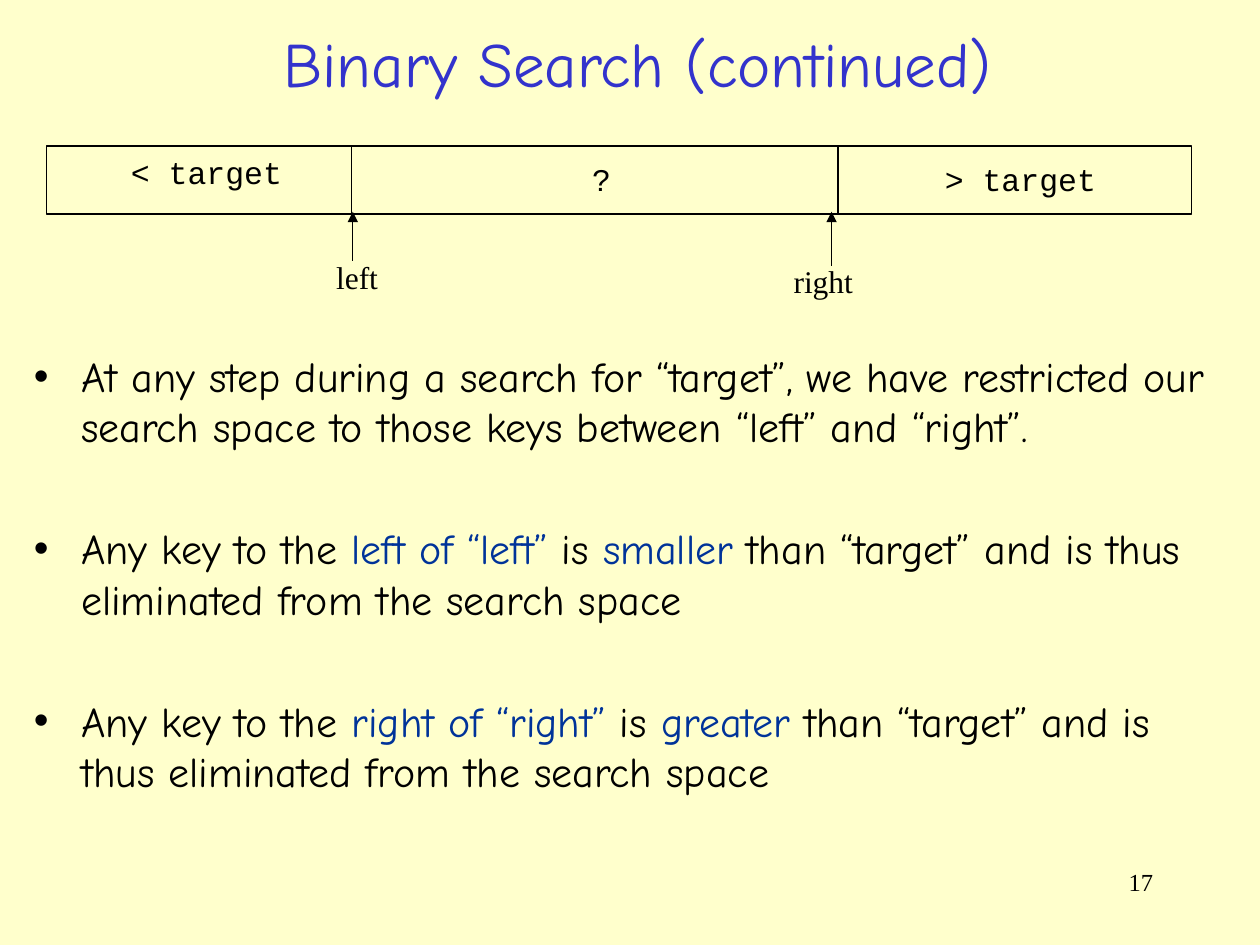
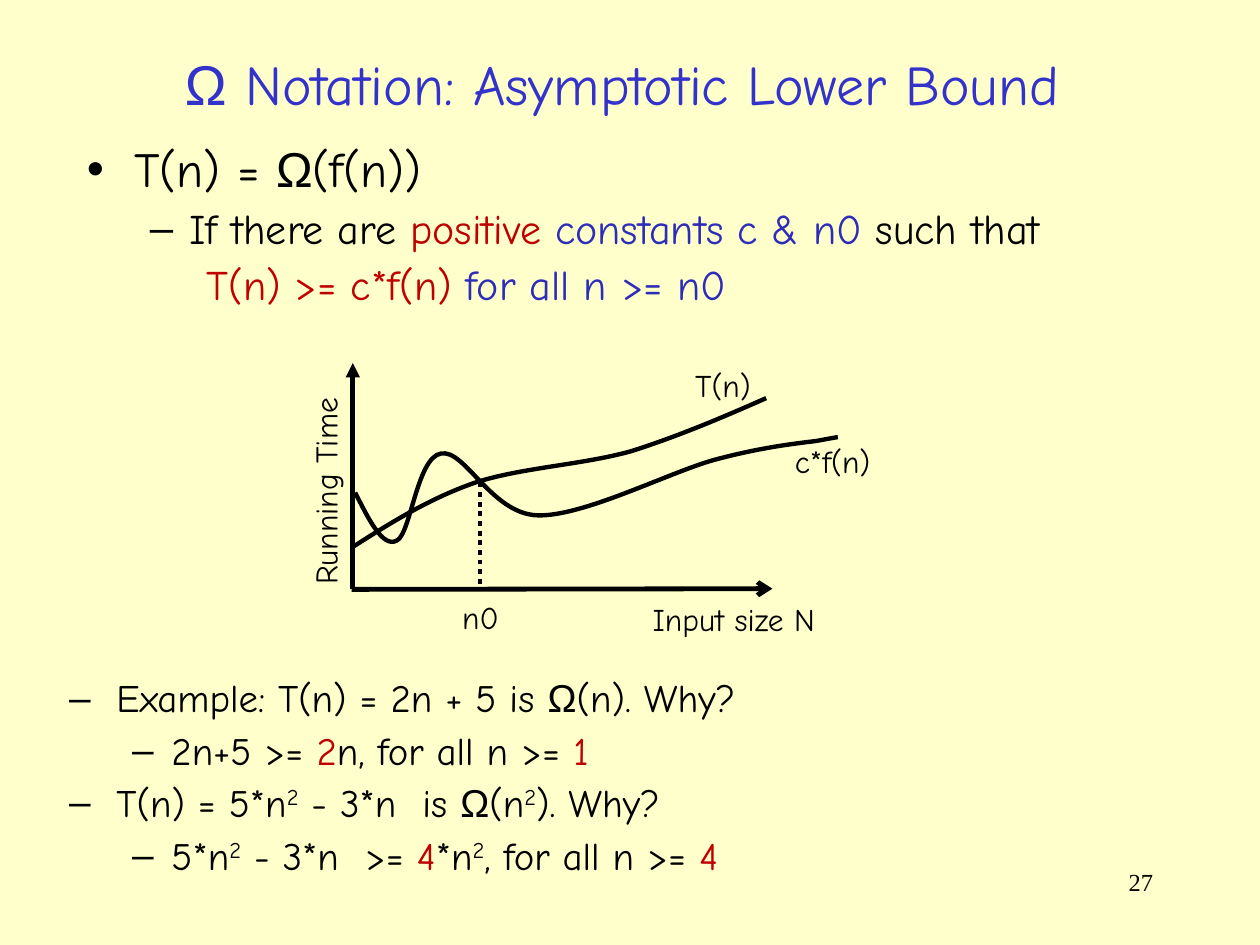
"""Build two lecture slides on binary search and asymptotic lower bounds."""
from dataclasses import dataclass

from lxml.etree import SubElement
from pptx import Presentation
from pptx.dml.color import RGBColor
from pptx.enum.dml import MSO_LINE
from pptx.enum.shapes import MSO_CONNECTOR, MSO_SHAPE
from pptx.enum.text import MSO_ANCHOR, MSO_AUTO_SIZE, PP_ALIGN
from pptx.oxml.ns import qn
from pptx.util import Pt


@dataclass(frozen=True)
class Theme:
    background: str = "FFFFCC"
    ink: str = "000000"
    title: str = "3333CC"
    navy: str = "003399"
    blue: str = "2D2DB9"
    red: str = "C00000"
    main_font: str = "Comic Neue"
    symbol_font: str = "Arial"
    code_font: str = "Courier New"
    serif_font: str = "Times New Roman"
    title_size: float = 36
    long_title_size: float = 32
    lead_size: float = 28
    body_size: float = 24
    example_size: float = 22.2
    label_size: float = 18
    page_size: float = 14
    thin: float = 0.75
    curve: float = 2.5
    axis: float = 2.75


@dataclass(frozen=True)
class ListLevel:
    level: int
    margin: float
    hanging: float
    mark: str


THEME = Theme()
POINT = ListLevel(0, 27, 27, "•")
DASH = ListLevel(0, 27, 27, "–")
SUB_DASH = ListLevel(1, 58.5, 22.5, "–")
CONTINUED = ListLevel(1, 68.4, 0, "")
SUPERSCRIPT = "superscript"
LABEL_HEIGHT = 28.8


def points(*values):
    return [Pt(value) for value in values]


class Deck:
    def __init__(self, theme):
        self.theme = theme
        self.presentation = Presentation()
        self.presentation.slide_width, self.presentation.slide_height = points(720, 540)
        fill = self.presentation.slide_master.background.fill
        fill.solid()
        fill.fore_color.rgb = RGBColor.from_string(theme.background)
        self.slide = None

    def new_slide(self, title, box, size, number):
        layout = self.presentation.slide_layouts[1]
        self.slide = self.presentation.slides.add_slide(layout)
        shape = self.slide.shapes.title
        self.place(shape, box)
        shape.text_frame.vertical_anchor = MSO_ANCHOR.MIDDLE
        paragraph = shape.text_frame.paragraphs[0]
        paragraph.alignment = PP_ALIGN.CENTER
        self.add_runs(paragraph, title, size, color=self.theme.title)
        page = self.slide.shapes.add_textbox(*points(516.2, 491.8, 149.8, 36))
        page.text_frame.word_wrap = True
        paragraph = page.text_frame.paragraphs[0]
        paragraph.alignment = PP_ALIGN.RIGHT
        self.add_runs(paragraph, [number], self.theme.page_size, self.theme.serif_font)

    def place(self, shape, box):
        shape.left, shape.top, shape.width, shape.height = points(*box)
        shape.text_frame.auto_size = MSO_AUTO_SIZE.NONE
        shape.text_frame.word_wrap = True

    def add_runs(self, paragraph, parts, size, font=None, color=None):
        for part in parts:
            text, accent = (part, None) if isinstance(part, str) else part
            run = paragraph.add_run()
            run.text = text
            run.font.size = Pt(size)
            run.font.name = self.theme.symbol_font if text == "Ω" else font or self.theme.main_font
            shade = color or self.theme.ink
            if accent == SUPERSCRIPT:
                run._r.get_or_add_rPr().set("baseline", "30000")
            elif accent:
                shade = accent
            run.font.color.rgb = RGBColor.from_string(shade)

    def set_level(self, paragraph, style):
        paragraph.level = style.level
        properties = paragraph._p.get_or_add_pPr()
        properties.set("marL", str(Pt(style.margin)))
        properties.set("indent", str(-Pt(style.hanging)))
        if style.mark:
            SubElement(properties, qn("a:buFont")).set("typeface", self.theme.symbol_font)
            SubElement(properties, qn("a:buChar")).set("char", style.mark)
        else:
            SubElement(properties, qn("a:buNone"))

    def fill_list(self, shape, items, line_spacing):
        frame = shape.text_frame
        for index, (style, size, before, parts) in enumerate(items):
            paragraph = frame.add_paragraph() if index else frame.paragraphs[0]
            self.set_level(paragraph, style)
            paragraph.line_spacing = line_spacing
            paragraph.space_before = Pt(before)
            self.add_runs(paragraph, parts, size)

    def body(self, box, items, line_spacing=1.0):
        shape = self.slide.placeholders[1]
        self.place(shape, box)
        self.fill_list(shape, items, line_spacing)

    def text_list(self, box, items, line_spacing):
        shape = self.slide.shapes.add_textbox(*points(*box))
        shape.text_frame.word_wrap = True
        self.fill_list(shape, items, line_spacing)

    def label(self, text, left, top, width, font=None, rotation=0):
        shape = self.slide.shapes.add_textbox(*points(left, top, width, LABEL_HEIGHT))
        shape.rotation = rotation
        shape.text_frame.word_wrap = False
        shape.text_frame.auto_size = MSO_AUTO_SIZE.SHAPE_TO_FIT_TEXT
        self.add_runs(shape.text_frame.paragraphs[0], [text], self.theme.label_size, font)

    def stroke(self, shape, width):
        shape.line.color.rgb = RGBColor.from_string(self.theme.ink)
        shape.line.width = Pt(width)

    def frame(self, box):
        shape = self.slide.shapes.add_shape(MSO_SHAPE.RECTANGLE, *points(*box))
        shape.shadow.inherit = False
        shape.fill.background()
        self.stroke(shape, self.theme.thin)

    def line(self, start, end, width, arrow=None, dash=None):
        connector = self.slide.shapes.add_connector(
            MSO_CONNECTOR.STRAIGHT, *points(*start, *end))
        self.stroke(connector, width)
        if dash:
            connector.line.dash_style = dash
        if arrow:
            outline = connector._element.spPr.find(qn("a:ln"))
            SubElement(outline, qn("a:tailEnd")).set("type", arrow)
        SubElement(connector._element.spPr, qn("a:effectLst"))

    def curve(self, start, controls):
        builder = self.slide.shapes.build_freeform(*points(*start), scale=1.0)
        builder.add_line_segments([points(*control) for control in controls], close=False)
        shape = builder.convert_to_shape()
        outline = shape._element.find(".//" + qn("a:path"))
        segments = outline.findall(qn("a:lnTo"))
        for first in range(0, len(segments), 3):
            bezier = SubElement(outline, qn("a:cubicBezTo"))
            for segment in segments[first:first + 3]:
                bezier.append(segment[0])
                outline.remove(segment)
        shape.shadow.inherit = False
        shape.fill.background()
        self.stroke(shape, self.theme.curve)


def add_binary_search(deck):
    theme = deck.theme
    deck.new_slide(["Binary Search (continued)"], (41.8, 11.5, 645, 48.2),
                   theme.title_size, "17")
    top, height = 83.5, 38.9
    deck.frame((26.6, top, 654.5, height))
    for divider in (200.9, 478.8):
        deck.line((divider, top), (divider, top + height), theme.thin)
    for text, left, label_top, width in (
            ("< target", 67.7, 84.2, 100.8),
            ("?", 331.2, 87.8, 25.2),
            ("> target", 532.8, 87.8, 100.8)):
        deck.label(text, left, label_top, width, theme.code_font)
    for text, arrow_x, arrow_bottom, left, label_top, width in (
            ("left", 201.6, 149, 185, 144, 38.2),
            ("right", 475.2, 151.9, 446.4, 146.2, 48.2)):
        deck.line((arrow_x, arrow_bottom), (arrow_x, 121), theme.thin, "triangle")
        deck.label(text, left, label_top, width, theme.serif_font)

    def eliminated(side, comparison):
        return (POINT, theme.body_size, 40.9, [
            "Any key to the ", (side, theme.navy), " is ", (comparison, theme.navy),
            " than “target” and is thus eliminated from the search space"])

    deck.body((12.2, 196.6, 694.8, 293.8), [
        (POINT, theme.body_size, 6, [
            "At any step during a search for “target”, we have restricted our "
            "search space to those keys between “left” and “right”."]),
        eliminated("left of “left”", "smaller"),
        eliminated("right of “right”", "greater"),
    ])


def add_lower_bound(deck):
    theme = deck.theme
    red, blue = theme.red, theme.blue
    squared = ("2", SUPERSCRIPT)
    deck.new_slide(["Ω", " Notation: Asymptotic Lower Bound"], (33.1, 17.3, 645, 60.5),
                   theme.long_title_size, "27")
    deck.body((42.5, 79.2, 636.5, 116.6), [
        (POINT, theme.lead_size, 7, ["T(n) = ", "Ω", "(f(n))"]),
        (SUB_DASH, theme.body_size, 6, [
            "If there are ", ("positive ", red), ("constants c & n0", blue), " such that"]),
        (CONTINUED, theme.body_size, 6, [
            ("T(n) >= c*f(n) ", red), ("for all n >= n0", blue)]),
    ], 0.9)
    examples = [
        (DASH, ["Example: T(n) = 2n + 5 is ", "Ω", "(n). Why?"]),
        (SUB_DASH, ["2n+5 >= ", ("2", red), "n, for all n >= ", ("1", red)]),
        (DASH, ["T(n) = 5*n", squared, " - 3*n  is ", "Ω", "(n", squared, "). Why?"]),
        (SUB_DASH, ["5*n", squared, " - 3*n  >= ", ("4", red), "*n", squared,
                    ", for all n >= ", ("4", red)]),
    ]
    deck.text_list((32.4, 384.5, 656.6, 136.8),
                   [(style, theme.example_size, 6, parts) for style, parts in examples], 0.9)

    origin = (201.6, 336.8)
    deck.line(origin, (201.6, 207.4), theme.axis, "triangle")
    deck.line((200.9, 336.8), (441.4, 336.4), theme.axis, "arrow")
    deck.curve((201.6, 312.5), [
        (223.2, 298.8), (244.8, 285.1), (271.4, 275.8),
        (298.1, 267.1), (332.6, 265.7), (360.7, 257.8),
        (388.1, 249.1), (413.3, 238.3), (437.8, 227.5)])
    deck.curve((203, 281.5), [
        (211, 297.4), (218.9, 313.2), (226.8, 308.9),
        (234.7, 305.3), (238.3, 261.4), (252, 259.2),
        (265.7, 256.3), (280.8, 293.8), (307.4, 294.5),
        (333.4, 295.2), (382.3, 270), (408.2, 262.8),
        (434.9, 255.6), (455, 253.4), (466.6, 252),
        (478.1, 249.8), (478.8, 249.8), (478.8, 249.8)])
    deck.line((274.3, 275.8), (274.3, 335.5), theme.axis, dash=MSO_LINE.ROUND_DOT)
    for text, left, top, width in (
            ("Input size N", 365.8, 339.1, 107.3),
            ("T(n)", 390.2, 205.9, 46.1),
            ("c*f(n)", 447.1, 249.1, 57.6),
            ("n0", 257, 338.4, 35.3)):
        deck.label(text, left, top, width)
    deck.label("Running Time", 125.3, 266.4, 121, rotation=270)


def main():
    deck = Deck(THEME)
    add_binary_search(deck)
    add_lower_bound(deck)
    deck.presentation.save("out.pptx")


if __name__ == "__main__":
    main()
